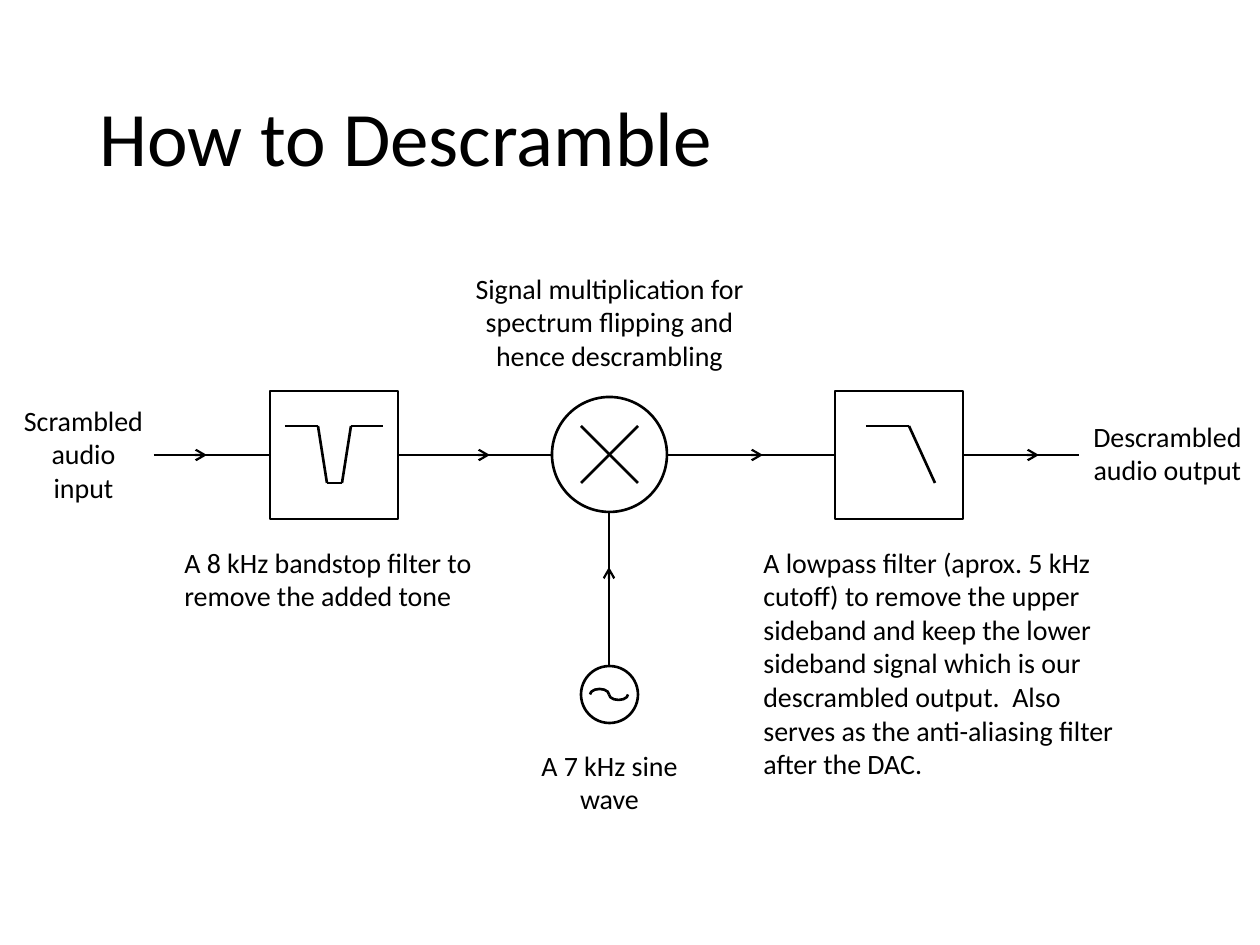
import pptx
import pptx.util
import pptx.dml.color
import pptx.enum.shapes
import pptx.enum.text
import pptx.oxml
import pptx.oxml.ns

PX = 914400 / 126
COLORS = {"ink": "000000"}
INK = pptx.dml.color.RGBColor.from_string(COLORS["ink"])
SHAPE = pptx.enum.shapes.MSO_SHAPE
ALIGN = pptx.enum.text.PP_ALIGN
MIDDLE = 455


def add_outline(parent, preset, *box):
    outline = parent.shapes.add_shape(preset, *[round(n * PX) for n in box])
    outline.shadow.inherit = False
    outline.fill.background()
    outline.line.color.rgb = INK
    outline.line.width = pptx.util.Pt(1.5)
    return outline


def add_line(parent, x1, y1, x2, y2, width=1.5, arrow=False):
    line = parent.shapes.add_connector(
        pptx.enum.shapes.MSO_CONNECTOR.STRAIGHT, *[round(n * PX) for n in (x1, y1, x2, y2)])
    line.line.color.rgb = INK
    line.line.width = pptx.util.Pt(width)
    properties = line._element.spPr
    if arrow:
        tail = pptx.oxml.parse_xml(
            '<a:tailEnd %s type="arrow"/>' % pptx.oxml.ns.nsdecls("a"))
        properties.find(pptx.oxml.ns.qn("a:ln")).append(tail)
    properties.append(pptx.oxml.parse_xml("<a:effectLst %s/>" % pptx.oxml.ns.nsdecls("a")))
    return line


prs = pptx.Presentation()
prs.slide_width = round(1260 * PX)
prs.slide_height = round(945 * PX)
slide = prs.slides.add_slide(prs.slide_layouts[5])

title = slide.shapes.title
title.left, title.top, title.width, title.height = [round(n * PX) for n in (87, 50, 1086, 183)]
title.text_frame.text = "How to Descramble"
title.text_frame.vertical_anchor = pptx.enum.text.MSO_ANCHOR.MIDDLE
heading = title.text_frame.paragraphs[0]
heading.alignment = ALIGN.LEFT
heading.line_spacing = 0.9
heading.font.name = "Calibri"
heading.font.size = pptx.util.Pt(44)
heading.font.color.rgb = INK

bandstop_group = slide.shapes.add_group_shape()
bandstop = add_outline(bandstop_group, SHAPE.RECTANGLE, 270, 391, 128, 128)
bandstop_curve = [(285, 426), (318, 426), (327, 483), (342, 483), (351, 426), (383, 426)]
for start, end in zip(bandstop_curve, bandstop_curve[1:]):
    add_line(bandstop_group, *start, *end)

mixer_group = slide.shapes.add_group_shape()
add_outline(mixer_group, SHAPE.OVAL, 552, 397, 115, 115)
add_line(mixer_group, 581, 426, 638, 483)
add_line(mixer_group, 581, 483, 638, 426)

lowpass_group = slide.shapes.add_group_shape()
lowpass = add_outline(lowpass_group, SHAPE.RECTANGLE, 835, 391, 128, 128)
lowpass_curve = [(866, 426), (909, 426), (935, 483)]
for start, end in zip(lowpass_curve, lowpass_curve[1:]):
    add_line(lowpass_group, *start, *end)

oscillator_group = slide.shapes.add_group_shape()
add_outline(oscillator_group, SHAPE.OVAL, 581, 666, 57, 57)
for left, start_angle, end_angle in [(590, 180, 0), (609, 0, 180)]:
    half_wave = add_outline(oscillator_group, SHAPE.ARC, left, 689, 19, 11)
    half_wave.adjustments[0] = start_angle * 0.6
    half_wave.adjustments[1] = end_angle * 0.6

input_wire = add_line(slide, 154, MIDDLE, 270, MIDDLE, 1.25)
input_wire.end_connect(bandstop, 1)
bandstop_wire = add_line(slide, 398, MIDDLE, 552, MIDDLE, 1.25)
bandstop_wire.begin_connect(bandstop, 3)
mixer_wire = add_line(slide, 667, MIDDLE, 835, MIDDLE, 1.25)
mixer_wire.end_connect(lowpass, 1)
output_wire = add_line(slide, 963, MIDDLE, 1079, MIDDLE, 1.25)
output_wire.begin_connect(lowpass, 3)
add_line(slide, 609, 666, 609, 512, 1.25)

for flow_start in (154, 437, 710, 986):
    add_line(slide, flow_start, MIDDLE, flow_start + 53, MIDDLE, 1.25, arrow=True)
add_line(slide, 609, 620, 609, 567, 1.25, arrow=True)

captions = [
    ("A 8 kHz bandstop filter to remove the added tone", ALIGN.LEFT, 172, 539, 319, 81),
    ("A lowpass filter (aprox. 5 kHz cutoff) to remove the upper sideband and keep the lower "
     "sideband signal which is our descrambled output.  Also serves as the anti-aliasing "
     "filter after the DAC.", ALIGN.LEFT, 751, 539, 380, 251),
    ("Scrambled audio input", ALIGN.CENTER, 8, 397, 151, 115),
    ("Signal multiplication for spectrum flipping and hence descrambling",
     ALIGN.CENTER, 450, 265, 319, 115),
    ("Descrambled audio output", ALIGN.CENTER, 1078, 413, 179, 81),
    ("A 7 kHz sine wave", ALIGN.CENTER, 520, 742, 179, 81),
]
for wording, alignment, *box in captions:
    caption = slide.shapes.add_textbox(*[round(n * PX) for n in box])
    caption.text_frame.word_wrap = True
    caption.text_frame.auto_size = pptx.enum.text.MSO_AUTO_SIZE.SHAPE_TO_FIT_TEXT
    caption.text_frame.text = wording
    paragraph = caption.text_frame.paragraphs[0]
    paragraph.alignment = alignment
    paragraph.font.name = "Calibri"
    paragraph.font.size = pptx.util.Pt(16)
    paragraph.font.color.rgb = INK

prs.save("out.pptx")
